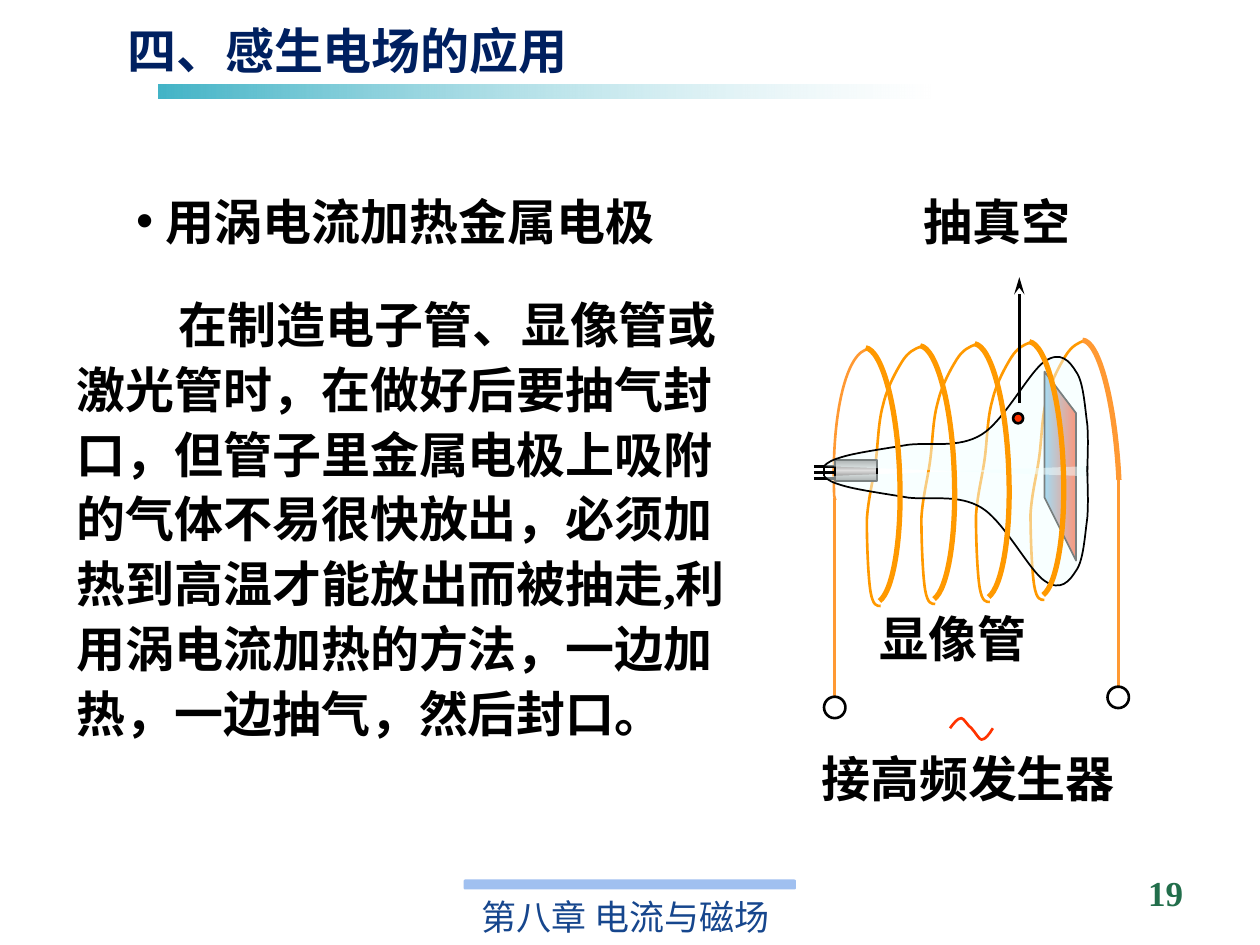
from lxml import etree
from pptx import Presentation
from pptx.dml.color import RGBColor
from pptx.enum.shapes import MSO_CONNECTOR, MSO_SHAPE
from pptx.enum.text import MSO_ANCHOR, MSO_AUTO_SIZE, PP_ALIGN
from pptx.oxml.ns import qn
from pptx.util import Inches, Pt

RECT, ROUND, OVAL = MSO_SHAPE.RECTANGLE, MSO_SHAPE.ROUNDED_RECTANGLE, MSO_SHAPE.OVAL
STRAIGHT = MSO_CONNECTOR.STRAIGHT
TOP, MIDDLE = MSO_ANCHOR.TOP, MSO_ANCHOR.MIDDLE
LEFT, RIGHT = PP_ALIGN.LEFT, PP_ALIGN.RIGHT
NO_FIT = MSO_AUTO_SIZE.NONE
CJK, SERIF = "Noto Sans CJK SC", "Times New Roman"
BLACK, ORANGE, AMBER, RED = "000000", "FF9900", "FF9933", "FF3300"


def rgb(value):
    return RGBColor.from_string(value)


class Grid:
    """A box split into columns and rows, with positions in EMU."""

    def __init__(self, box, cols, rows):
        self.x, self.y, w, h = [Inches(v) for v in box]
        self.dx, self.dy = w / cols, h / rows

    def point(self, c, r):
        return round(self.x + c * self.dx), round(self.y + r * self.dy)

    def area(self, c, r, w, h):
        return *self.point(c, r), round(w * self.dx), round(h * self.dy)


# Fills, lines and text
def paint_gradient(sp, stops, angle=0):
    sp.fill.gradient()
    sp.fill.gradient_angle = angle
    gs_list = sp._element.spPr.find(".//" + qn("a:gsLst"))
    for gs in list(gs_list):
        gs_list.remove(gs)
    for pos, color, alpha in stops:
        gs = etree.SubElement(gs_list, qn("a:gs"), pos=str(pos * 1000))
        clr = etree.SubElement(gs, qn("a:srgbClr"), val=color)
        etree.SubElement(clr, qn("a:alpha"), val=str(alpha * 1000))


def paint(sp, fill=None, line=None, width=1, alpha=100):
    sp.shadow.inherit = False
    if fill:
        sp.fill.solid()
        sp.fill.fore_color.rgb = rgb(fill)
        clr = sp._element.spPr.find(".//" + qn("a:srgbClr"))
        etree.SubElement(clr, qn("a:alpha"), val=str(alpha * 1000))
    else:
        sp.fill.background()
    if line:
        sp.line.color.rgb = rgb(line)
        sp.line.width = Pt(width)
    else:
        sp.line.fill.background()
    return sp


def write(sp, text, size=28, color=BLACK, bold=True, font=SERIF,
          align=LEFT, anchor=TOP):
    tf = sp.text_frame
    tf.word_wrap, tf.auto_size, tf.vertical_anchor = True, NO_FIT, anchor
    tf.text = text
    p = tf.paragraphs[0]
    p.alignment = align
    p.space_before = Pt(0)
    r = p.runs[0]
    r.font.size, r.font.bold, r.font.name = Pt(size), bold, font
    r.font.color.rgb = rgb(color)
    etree.SubElement(r.font._element, qn("a:ea"), typeface=CJK)
    return p


def place(sp, area):
    sp.left, sp.top, sp.width, sp.height = area
    return sp


# Drawing on a grid
def add_line(shapes, grid, start, end, color=BLACK, width=1.5, arrow=False):
    cn = shapes.add_connector(STRAIGHT, *grid.point(*start), *grid.point(*end))
    cn.line.color.rgb = rgb(color)
    cn.line.width = Pt(width)
    if arrow:
        etree.SubElement(cn.line._get_or_add_ln(), qn("a:tailEnd"),
                         type="stealth", w="med", len="lg")
    etree.SubElement(cn._element.spPr, qn("a:effectLst"))


def add_outline(shapes, grid, points, closed=False):
    points = [grid.point(*pt) for pt in points]
    fb = shapes.build_freeform(*points[0])
    fb.add_line_segments(points[1:], close=closed)
    return fb.convert_to_shape()


def add_curve(shapes, grid, knots, color, width, shift=(0, 0), **fill):
    """Cubic curves: a start knot, then two handles and an end knot for each."""
    sp = add_outline(shapes, grid, [(c + shift[0], r + shift[1]) for c, r in knots])
    segments = list(sp._element.spPr.iter(qn("a:lnTo")))
    outline = segments[0].getparent()
    for i in range(0, len(segments), 3):
        cubic = etree.SubElement(outline, qn("a:cubicBezTo"))
        for segment in segments[i:i + 3]:
            cubic.append(segment[0])
            outline.remove(segment)
    paint(sp, line=color, width=width, **fill)


# Regions of the slide
def add_header(slide, box):
    grid = Grid(box, 100, 100)
    write(place(slide.shapes.title, grid.area(0, 0, 100, 85)),
          "四、感生电场的应用", color="002060", font=CJK)
    bar = paint(slide.shapes.add_shape(RECT, *grid.area(5.17, 83.6, 90.5, 16.4)))
    paint_gradient(bar, [(0, "43B4C7", 100), (100, "FFFFFF", 46)])


def add_explanation(slide, box):
    grid = Grid(box, 100, 100)
    p = write(place(slide.placeholders[1], grid.area(7.46, 0, 92.54, 12.7)),
              "用涡电流加热金属电极", font=CJK)
    pPr = p._p.get_or_add_pPr()
    pPr.set("marL", str(Inches(0.23)))
    pPr.set("indent", str(-Inches(0.23)))
    etree.SubElement(pPr, qn("a:buChar"), char="•")
    p = write(slide.shapes.add_textbox(*grid.area(0, 17.3, 88.6, 84.2)),
              "在制造电子管、显像管或激光管时，在做好后要抽气封口，但管子里金属电极上吸附的"
              "气体不易很快放出，必须加热到高温才能放出而被抽走,利用涡电流加热的方法，"
              "一边加热，一边抽气，然后封口。")
    p.line_spacing = 1.1
    p._p.get_or_add_pPr().set("indent", str(Inches(0.81)))


def add_tube_diagram(slide, box):
    grid = Grid(box, 290, 510)
    shapes = slide.shapes.add_group_shape().shapes
    turns = [(43.3 * i, -1.6 * i) for i in range(4)]

    # Rear half of the coil
    add_curve(shapes, grid, [(50, 137), (32, 138), (20, 188), (22, 250),
                             (22, 252), (22, 255), (23, 257)], AMBER, 1.5)
    rear = [(59, 341), (56, 341), (53, 341), (51, 330), (49, 318), (48, 290), (48, 273),
            (49, 256), (53, 242), (55, 227), (57, 212), (57, 195), (61, 181),
            (64, 168), (71, 155), (76, 147), (81, 139), (86, 137), (91, 135)]
    for shift in reversed(turns):
        add_curve(shapes, grid, rear, ORANGE, 1.5, shift)

    # Electron gun with pins, and screen
    gun = paint(shapes.add_shape(RECT, *grid.area(23, 225, 33, 17)), line=BLACK)
    paint_gradient(gun, [(0, "666666", 100), (50, "DDDDDD", 100), (100, "666666", 100)], 90)
    for row in (230, 235, 240):
        add_line(shapes, grid, (6, row), (23, row))
    screen = paint(add_outline(shapes, grid, [(189, 155), (214, 188), (214, 305), (189, 255)],
                               closed=True), line=BLACK)
    paint_gradient(screen, [(0, "58B6E5", 100), (100, RED, 100)])

    # Glass: the lower half mirrors the upper one
    upper = [(14, 230), (17, 227), (20, 225), (31, 222), (42, 219), (63, 216), (81, 213),
             (99, 211), (121, 216), (139, 205), (157, 194), (177, 155), (189, 147),
             (202, 138), (209, 147), (214, 155), (220, 163), (221, 183), (223, 197),
             (224, 211), (223, 225), (223, 238)]
    for half in (upper, [(c, 468 - r) for c, r in upper]):
        add_curve(shapes, grid, half, BLACK, 1, fill="F2FFFF", alpha=50)
    add_line(shapes, grid, (14, 230), (14, 238), width=1)

    # Vacuum outlet
    paint(shapes.add_shape(OVAL, *grid.area(164, 188, 8, 8)), RED, BLACK, 1.5)
    add_line(shapes, grid, (169, 180), (169, 80), arrow=True)

    # Front half of the coil
    front = [(47, 136), (60, 138), (72, 182), (74, 237), (76, 286), (69, 329), (58, 337)]
    for shift in turns:
        add_curve(shapes, grid, front, ORANGE, 3, shift)
    add_curve(shapes, grid, [(219, 130), (232, 130), (245, 179), (248, 241)], AMBER, 3)

    # Leads, terminals and generator sign
    for col, top, bottom in ((22.5, 255, 413), (247.5, 238, 405)):
        add_line(shapes, grid, (col, top), (col, bottom), AMBER)
        paint(shapes.add_shape(OVAL, *grid.area(col - 8.5, bottom, 17, 17)),
              line=BLACK, width=1.5)
    add_curve(shapes, grid, [(114, 438), (117, 434), (120, 430), (123, 430), (125, 430),
                             (128, 436), (131, 438), (134, 441), (137, 447), (139, 447),
                             (142, 447), (145, 443), (148, 438)], RED, 1.5)

    # Labels
    for text, col, row, width in (("抽真空", 83, 7, 200), ("接高频发生器", 2, 449, 286),
                                  ("显像管", 48, 338, 183)):
        write(shapes.add_textbox(*grid.area(col, row, width, 57)), text)


def add_footer(slide, box):
    grid = Grid(box, 100, 100)
    shapes = slide.shapes
    paint(shapes.add_shape(ROUND, *grid.area(0, 11.9, 45.4, 13.5)), "A0C0F0")
    write(shapes.add_textbox(*grid.area(0.7, 25.4, 44.2, 74.6)), "第八章 电流与磁场",
          20, "16468D", False, CJK)
    write(shapes.add_textbox(*grid.area(62, 0, 38, 59)), "19",
          20, "226E4B", align=RIGHT, anchor=MIDDLE)


def main():
    prs = Presentation()
    prs.slide_width, prs.slide_height = Inches(10), Inches(7.5)
    slide = prs.slides.add_slide(prs.slide_layouts[1])
    add_header(slide, (0.91, 0.11, 6.77, 0.67))
    add_explanation(slide, (0.51, 1.47, 6.3, 4.48))
    add_tube_diagram(slide, (6.4, 1.4, 2.9, 5.1))
    add_footer(slide, (3.68, 6.91, 5.81, 0.59))
    prs.save("out.pptx")


if __name__ == "__main__":
    main()
